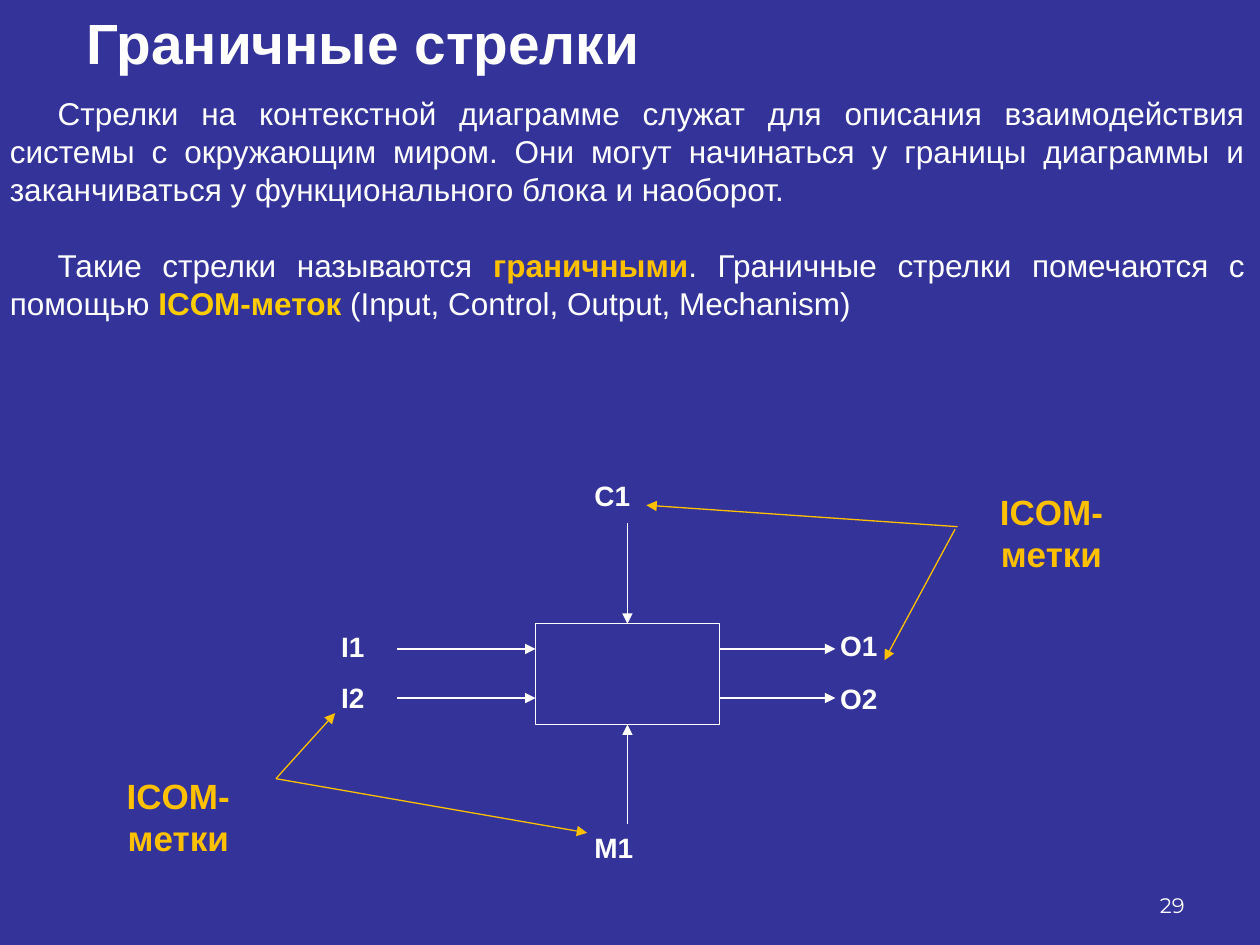
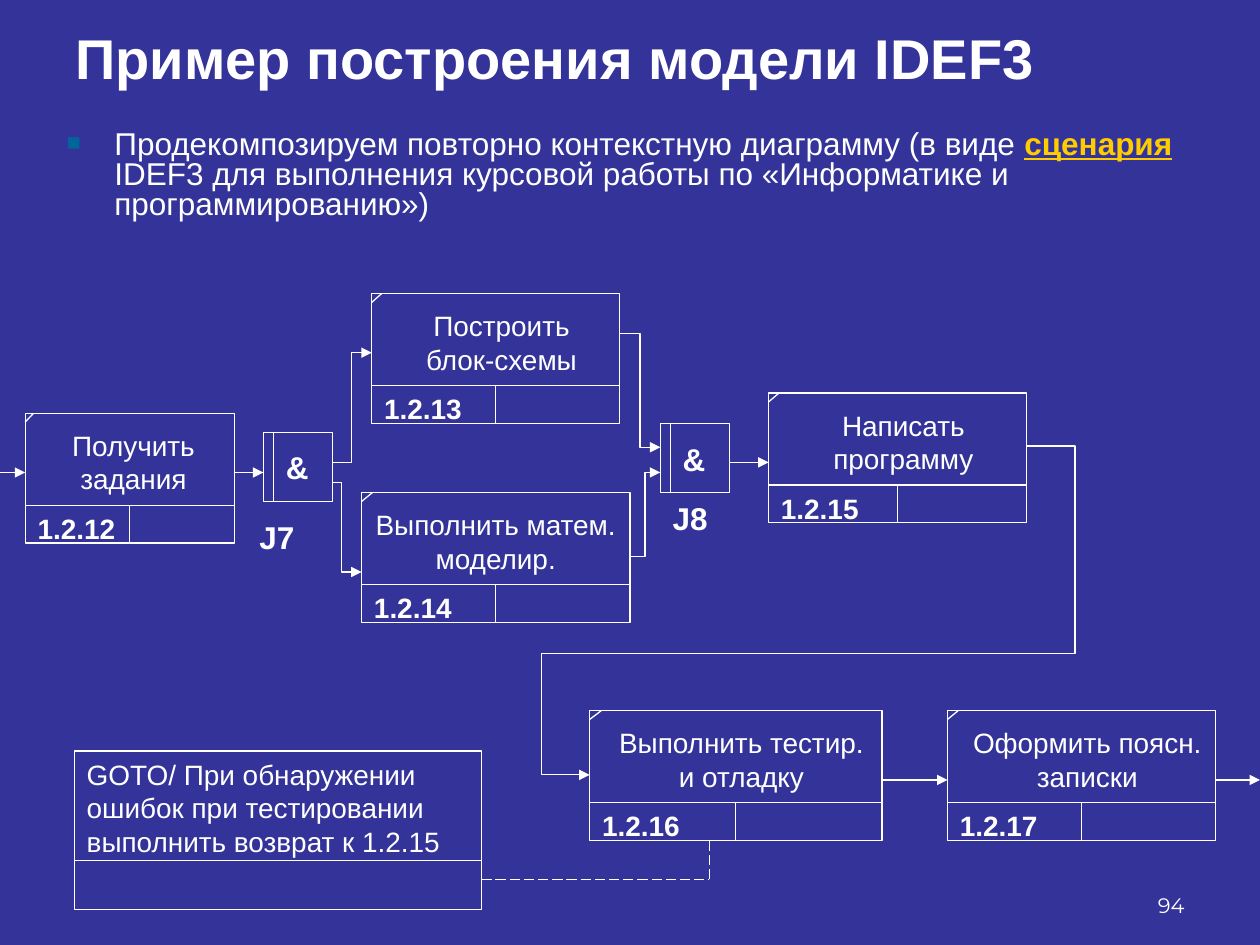
"""Builds two slides on IDEF0 boundary arrows and an IDEF3 example."""
from lxml import etree
from pptx import Presentation
from pptx.dml.color import RGBColor
from pptx.enum.dml import MSO_LINE
from pptx.enum.shapes import MSO_CONNECTOR, MSO_SHAPE
from pptx.enum.text import MSO_ANCHOR, PP_ALIGN
from pptx.oxml.ns import qn
from pptx.util import Inches, Pt

STRAIGHT, ELBOW = MSO_CONNECTOR.STRAIGHT, MSO_CONNECTOR.ELBOW
RECT = MSO_SHAPE.RECTANGLE
LONG_DASH = MSO_LINE.LONG_DASH
TOP, MIDDLE, BOTTOM = MSO_ANCHOR.TOP, MSO_ANCHOR.MIDDLE, MSO_ANCHOR.BOTTOM
LEFT, CENTER, RIGHT, JUSTIFY = (
    PP_ALIGN.LEFT, PP_ALIGN.CENTER, PP_ALIGN.RIGHT, PP_ALIGN.JUSTIFY)

COLORS = {"back": "333399", "white": "FFFFFF", "amber": "FFC000",
          "yellow": "FFCC00", "bullet": "006699"}
FONT, NUMBER_FONT = "Arial", "Montserrat"
LINE_WIDTH = Pt(0.75)
BOX_H, NAME_H = 1.03, 0.73
JUNCTION = 0.55


def rgb(name):
    """Return the named colour."""
    return RGBColor.from_string(COLORS[name])


def add_run(p, text, size, color="white", bold=False, underline=False, font=FONT):
    """Append one formatted run to a paragraph."""
    r = p.add_run()
    r.text = text
    r.font.name = font
    r.font.size = Pt(size)
    r.font.bold = bold
    r.font.underline = underline
    r.font.color.rgb = rgb(color)


def add_box(s, x, y, w, h, anchor=TOP):
    """Add an empty wrapping text box and return its text frame."""
    tf = s.shapes.add_textbox(Inches(x), Inches(y), Inches(w), Inches(h)).text_frame
    tf.word_wrap = True
    tf.vertical_anchor = anchor
    return tf


def add_text(s, x, y, w, h, text, size=16, align=LEFT, anchor=TOP, **style):
    """Add a text box with a single run."""
    p = add_box(s, x, y, w, h, anchor).paragraphs[0]
    p.alignment = align
    add_run(p, text, size, **style)


def set_indent(p, margin, indent):
    """Set the left margin and first-line indent of a paragraph."""
    pPr = p._p.get_or_add_pPr()
    pPr.set("marL", str(Inches(margin)))
    pPr.set("indent", str(Inches(indent)))
    return pPr


def add_bullet(p):
    """Give a paragraph a small square bullet."""
    pPr = set_indent(p, 0.38, -0.38)
    color = etree.SubElement(pPr, qn("a:buClr"))
    etree.SubElement(color, qn("a:srgbClr"), val=COLORS["bullet"])
    etree.SubElement(pPr, qn("a:buSzPct"), val="75000")
    etree.SubElement(pPr, qn("a:buFont"), typeface=FONT)
    etree.SubElement(pPr, qn("a:buChar"), char="■")


def add_rect(s, x, y, w, h):
    """Add an unfilled white-outlined rectangle."""
    sp = s.shapes.add_shape(RECT, Inches(x), Inches(y), Inches(w), Inches(h))
    sp.shadow.inherit = False
    sp.fill.background()
    sp.line.color.rgb = rgb("white")
    sp.line.width = LINE_WIDTH
    return sp


def add_line(s, x1, y1, x2, y2, color="white", arrow=False, dash=None, kind=STRAIGHT):
    """Add a connector, with an arrowhead at its end if asked."""
    cx = s.shapes.add_connector(kind, Inches(x1), Inches(y1), Inches(x2), Inches(y2))
    cx.line.color.rgb = rgb(color)
    cx.line.width = LINE_WIDTH
    if dash:
        cx.line.dash_style = dash
    if arrow:
        etree.SubElement(cx.line._get_or_add_ln(), qn("a:tailEnd"), type="triangle")
    etree.SubElement(cx._element.spPr, qn("a:effectLst"))
    return cx


def add_elbow(s, x1, y1, x2, y2, *adjustments):
    """Add a bent arrow whose turns lie at the given fractions."""
    cx = add_line(s, x1, y1, x2, y2, arrow=True, kind=ELBOW)
    geom = cx._element.spPr.find(qn("a:prstGeom"))
    geom.set("prst", f"bentConnector{len(adjustments) + 2}")
    guides = geom.find(qn("a:avLst"))
    if guides is None:
        guides = etree.SubElement(geom, qn("a:avLst"))
    for i, value in enumerate(adjustments, 1):
        etree.SubElement(guides, qn("a:gd"), name=f"adj{i}",
                         fmla=f"val {round(value * 100000)}")


def add_work_unit(s, x, y, w, number, name, inset=0.09):
    """Add an IDEF3 unit of work with its name and number."""
    cut, divider = w * 0.04, y + NAME_H
    add_rect(s, x, y, w, BOX_H)
    add_line(s, x, divider, x + w, divider)
    add_line(s, x + w / 2, divider, x + w / 2, y + BOX_H)
    add_line(s, x + cut, y, x, y + 0.07)
    add_text(s, x, divider, 1, 0.37, number, bold=True)
    add_text(s, x + inset, y + 0.07, w - inset, 0.64, name, align=CENTER)


def add_junction(s, x, y, label, label_x, label_y):
    """Add an IDEF3 AND junction with its label."""
    bar = x + 0.08
    add_rect(s, x, y, JUNCTION, JUNCTION)
    add_line(s, bar, y, bar, y + JUNCTION)
    add_text(s, bar, y + 0.08, 0.4, 0.4, "&", 18, bold=True)
    add_text(s, label_x, label_y, 0.7, 0.4, label, 18, bold=True)


def add_slide(prs, title, x, y, size, number):
    """Add a slide with background, title and page number."""
    s = prs.slides.add_slide(prs.slide_layouts[6])
    s.background.fill.solid()
    s.background.fill.fore_color.rgb = rgb("back")
    add_text(s, x, y, 9, 0.65, title, size, anchor=MIDDLE, bold=True)
    add_text(s, 7.17, 6.83, 2.33, 0.5, number, 12, RIGHT, BOTTOM, font=NUMBER_FONT)
    return s


def boundary_arrows(prs):
    """Build the slide on boundary arrows."""
    s = add_slide(prs, "Граничные стрелки", 0.59, 0.01, 32.4, "29")
    tf = add_box(s, -0.02, 0.7, 10, 2)
    intro, naming = tf.paragraphs[0], tf.add_paragraph()
    for p in (intro, naming):
        p.alignment = JUSTIFY
        set_indent(p, 0, 0.38)
    naming.space_before = Pt(21.7)
    add_run(intro, "Стрелки на контекстной диаграмме служат для описания "
            "взаимодействия системы с окружающим миром. Они могут начинаться "
            "у границы диаграммы и заканчиваться у функционального блока "
            "и наоборот.", 18)
    add_run(naming, "Такие стрелки называются ", 18)
    add_run(naming, "граничными", 18, "amber", True)
    add_run(naming, ". Граничные стрелки помечаются с помощью ", 18)
    add_run(naming, "ICOM-меток", 18, "yellow", True)
    add_run(naming, " (Input, Control, Output, Mechanism)", 18)

    block = add_rect(s, 4.25, 4.95, 1.46, 0.8)
    for y in (5.15, 5.54):
        add_line(s, 3.15, y, 4.25, y, arrow=True)
        add_line(s, 5.71, y, 6.63, y, arrow=True)
    for start, end, side in ((4.15, 4.95, 0), (6.54, 5.75, 2)):
        add_line(s, 4.98, start, 4.98, end, arrow=True).end_connect(block, side)
    for label, x, y in (("I1", 2.61, 4.95), ("I2", 2.61, 5.35), ("M1", 4.62, 6.54),
                        ("C1", 4.62, 3.75), ("O1", 6.57, 4.94), ("O2", 6.57, 5.36)):
        add_text(s, x, y, 0.73, 0.4, label, bold=True)

    for x, y in ((7.52, 3.84), (0.59, 6.1)):
        add_text(s, x, y, 1.65, 0.77, "ICOM-метки", 20, CENTER,
                 color="amber", bold=True)
    for ends in ((7.6, 4.18, 5.13, 4.01), (7.58, 4.2, 7.02, 5.24),
                 (2.19, 6.18, 2.66, 5.66), (2.19, 6.18, 4.66, 6.61)):
        add_line(s, *ends, color="amber", arrow=True)


def idef3_example(prs):
    """Build the slide with the IDEF3 scenario."""
    s = add_slide(prs, "Пример построения модели IDEF3", 0.5, 0.13, 32, "94")
    p = add_box(s, 0.43, 0.99, 9, 0.79).paragraphs[0]
    add_bullet(p)
    p.line_spacing = 0.8
    add_run(p, "Продекомпозируем повторно контекстную диаграмму (в виде ", 18)
    add_run(p, "сценария ", 18, "yellow", True, True)
    add_run(p, "IDEF3 для выполнения курсовой работы по «Информатике "
            "и программированию»)", 18)

    add_work_unit(s, 0.2, 3.28, 1.66, "1.2.12", "Получить задания", 0.06)
    add_work_unit(s, 2.95, 2.33, 1.97, "1.2.13", "Построить блок-схемы")
    add_work_unit(s, 2.87, 3.91, 2.13, "1.2.14", "Выполнить матем. моделир.", 0)
    add_work_unit(s, 6.1, 3.12, 2.05, "1.2.15", "Написать программу")
    add_work_unit(s, 4.68, 5.64, 2.32, "1.2.16", "Выполнить тестир. и отладку")
    add_work_unit(s, 7.52, 5.64, 2.13, "1.2.17", "Оформить поясн. записки")
    add_junction(s, 2.09, 3.43, "J7", 1.96, 4.06)
    add_junction(s, 5.24, 3.36, "J8", 5.24, 3.91)

    for x1, x2, y in ((0, 0.2, 3.75), (1.86, 2.09, 3.75), (5.79, 6.1, 3.67),
                      (7, 7.52, 6.19), (9.65, 10, 6.19)):
        add_line(s, x1, y, x2, y, arrow=True)
    add_elbow(s, 2.64, 3.67, 2.95, 2.8, 0.49)
    add_elbow(s, 2.64, 3.83, 2.87, 4.54, 0.32)
    add_elbow(s, 4.92, 2.65, 5.24, 3.55, 0.5)
    add_elbow(s, 5, 4.42, 5.24, 3.75, 0.5)
    add_elbow(s, 8.15, 3.54, 4.68, 6.15, -0.11, 0.63, 1.11)

    add_rect(s, 0.59, 5.96, 3.23, 1.26)
    add_line(s, 0.59, 6.83, 3.82, 6.83)
    add_text(s, 0.59, 5.96, 3.23, 0.91, "GOTO/ При обнаружении ошибок при "
             "тестировании выполнить возврат к 1.2.15")
    add_line(s, 3.82, 6.98, 5.63, 6.98, dash=LONG_DASH)
    add_line(s, 5.63, 6.98, 5.63, 6.67, dash=LONG_DASH)


def main():
    """Build and save the presentation."""
    prs = Presentation()
    prs.slide_width, prs.slide_height = Inches(10), Inches(7.5)
    boundary_arrows(prs)
    idef3_example(prs)
    prs.save("out.pptx")


if __name__ == "__main__":
    main()
